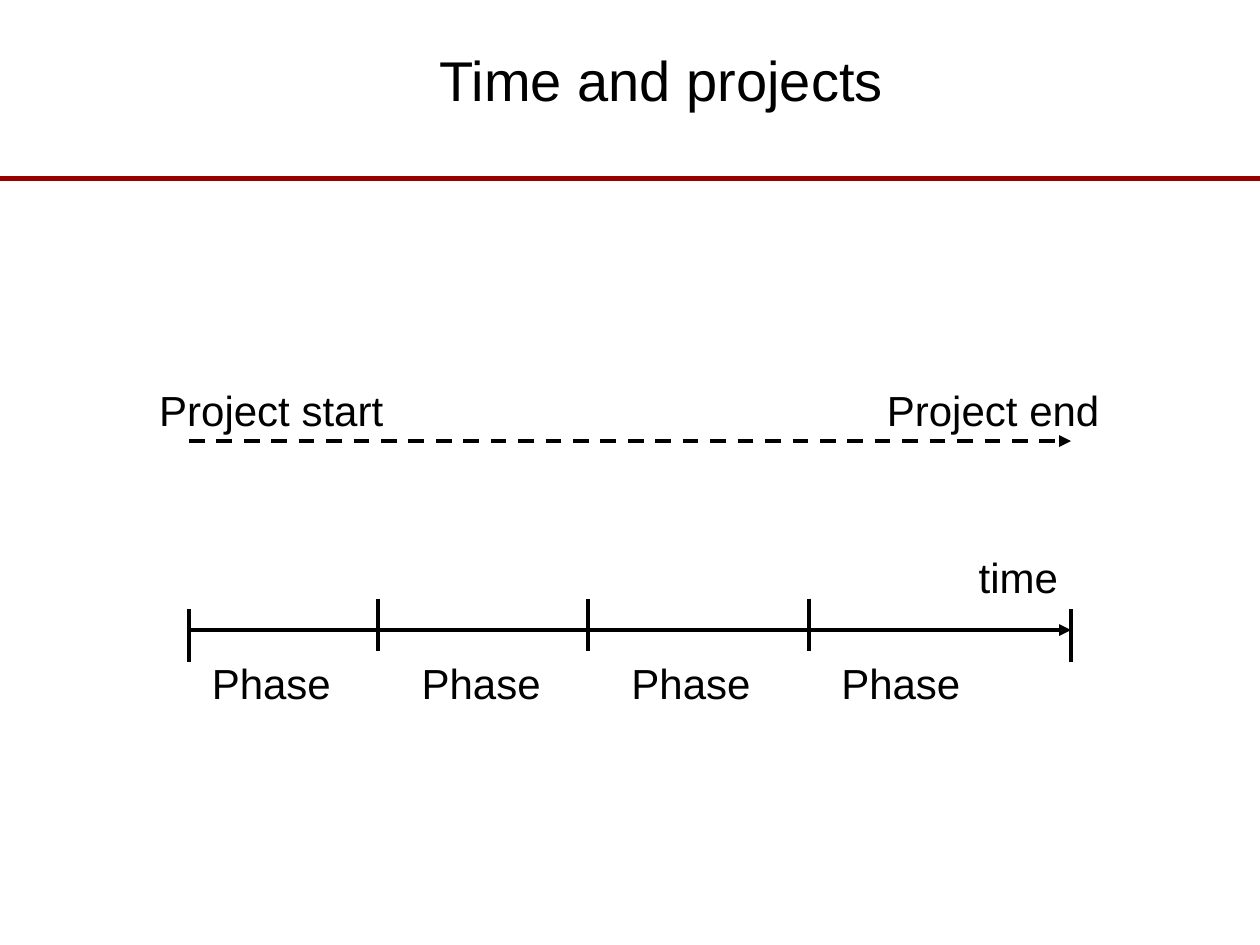
from lxml import etree
from pptx import Presentation
from pptx.dml.color import RGBColor
from pptx.enum.dml import MSO_LINE
from pptx.enum.shapes import MSO_CONNECTOR
from pptx.enum.text import MSO_ANCHOR, MSO_AUTO_SIZE, PP_ALIGN
from pptx.oxml.ns import qn
from pptx.util import Cm, Pt

STRAIGHT = MSO_CONNECTOR.STRAIGHT
DASH = MSO_LINE.DASH
MIDDLE = MSO_ANCHOR.MIDDLE
CENTER, LEFT = PP_ALIGN.CENTER, PP_ALIGN.LEFT
FIT_SHAPE = MSO_AUTO_SIZE.SHAPE_TO_FIT_TEXT

# Content, lengths in cm
TITLE = "Time and projects"
PHASES = ["Phase"] * 4
LABELS = [  # text, left, top, width
    ("time", 19.48, 11, 2.12),
    ("Project start", 2.96, 7.62, 5.03),
    ("Project end", 17.63, 7.62, 4.8),
]

THEME = {
    "font": "Arial",
    "ink": RGBColor(0x00, 0x00, 0x00),
    "rule": RGBColor(0x99, 0x00, 0x00),
    "title_size": 32,
    "label_size": 24,
    "rule_width": 3,
    "line_width": 2.25,
}

# Layout, lengths in cm
SLIDE_W, SLIDE_H = 25.4, 19.05
RULE_Y = 3.6
START_X, END_X = 3.81, 21.59
PROJECT_Y, TIME_Y = 8.89, 12.7
TICK_H = 1.06
END_TICK_TOP, PHASE_TICK_TOP = 12.28, 12.07
PHASE_TICKS = [7.62, 11.85, 16.3]
PHASE_X, PHASE_Y, PHASE_W, PHASE_STEP = 4.02, 13.12, 2.92, 4.23
LABEL_H = 1.27


def add_line(s, x1, y1, x2, y2, color=THEME["ink"], width=THEME["line_width"],
             dash=None, arrow=False):
    line = s.shapes.add_connector(STRAIGHT, Cm(x1), Cm(y1), Cm(x2), Cm(y2))
    line.line.color.rgb = color
    line.line.width = Pt(width)
    if dash:
        line.line.dash_style = dash
    sp_pr = line._element.spPr
    if arrow:
        etree.SubElement(sp_pr.find(qn("a:ln")), qn("a:tailEnd"), type="triangle")
    etree.SubElement(sp_pr, qn("a:effectLst"))


def add_text(s, text, x, y, w, h, size, align=LEFT):
    tf = s.shapes.add_textbox(Cm(x), Cm(y), Cm(w), Cm(h)).text_frame
    tf.text = text
    p = tf.paragraphs[0]
    p.alignment = align
    font = p.runs[0].font
    font.name, font.size = THEME["font"], Pt(size)
    font.color.rgb = THEME["ink"]
    return tf


def add_label(s, text, x, y, w):
    tf = add_text(s, text, x, y, w, LABEL_H, THEME["label_size"])
    tf.word_wrap = False
    tf.auto_size = FIT_SHAPE


def main():
    prs = Presentation()
    prs.slide_width, prs.slide_height = Cm(SLIDE_W), Cm(SLIDE_H)
    s = prs.slides.add_slide(prs.slide_layouts[6])

    # Title and rule
    add_line(s, 0, RULE_Y, SLIDE_W, RULE_Y, THEME["rule"], THEME["rule_width"])
    tf = add_text(s, TITLE, 1.27, 0, 24.13, 3.18, THEME["title_size"], CENTER)
    tf.word_wrap = True
    tf.vertical_anchor = MIDDLE

    # Time axis with its ticks
    add_line(s, START_X, TIME_Y, END_X, TIME_Y, arrow=True)
    ticks = [(x, END_TICK_TOP) for x in (START_X, END_X)]
    ticks += [(x, PHASE_TICK_TOP) for x in PHASE_TICKS]
    for x, top in ticks:
        add_line(s, x, top, x, top + TICK_H)

    # Labels
    for i, phase in enumerate(PHASES):
        add_label(s, phase, PHASE_X + i * PHASE_STEP, PHASE_Y, PHASE_W)
    for label in LABELS:
        add_label(s, *label)

    # Project span
    add_line(s, START_X, PROJECT_Y, END_X, PROJECT_Y, dash=DASH, arrow=True)

    prs.save("out.pptx")


if __name__ == "__main__":
    main()
